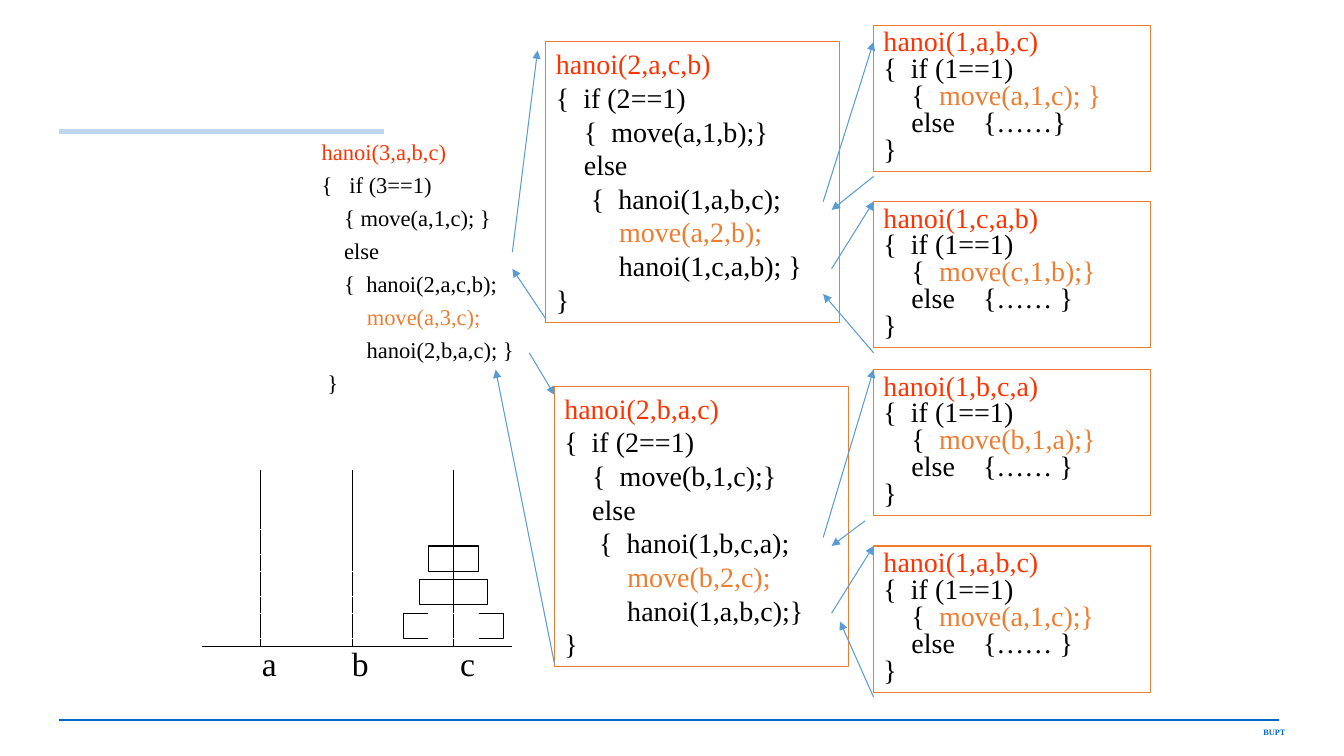
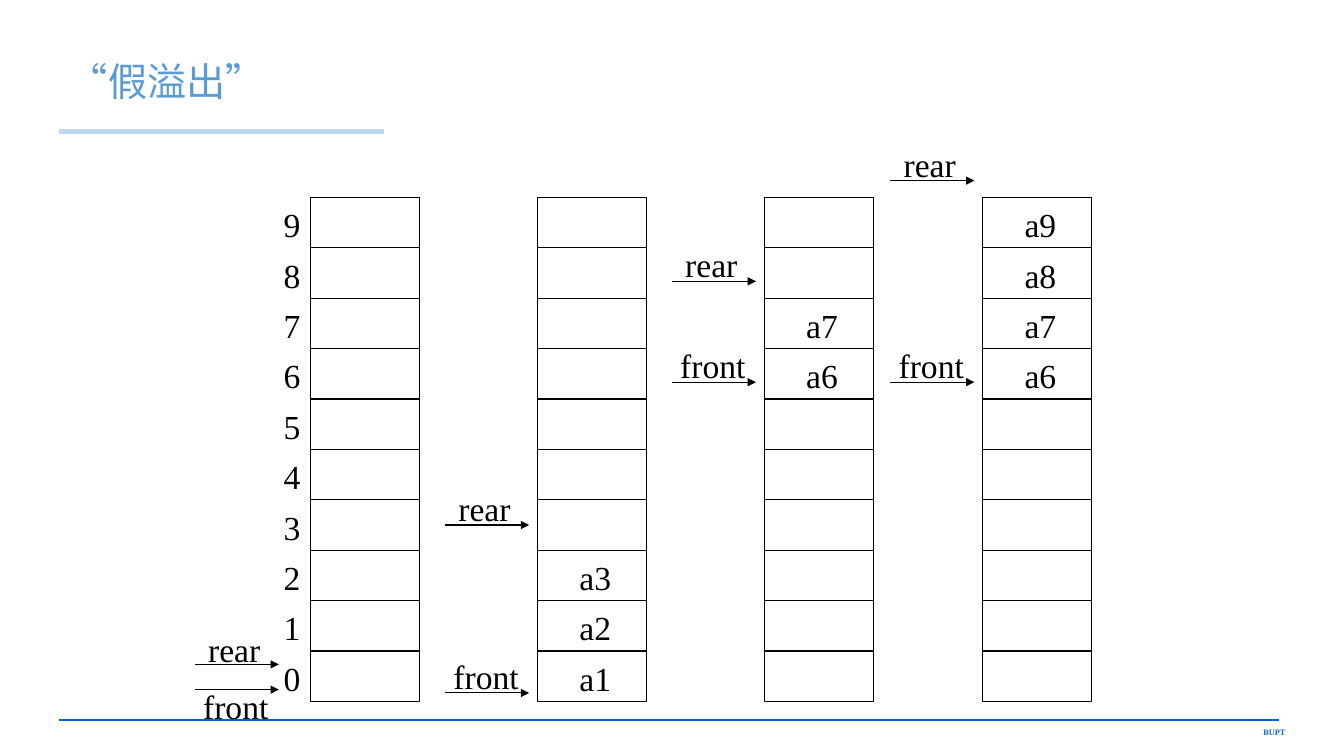
from lxml.etree import SubElement
from pptx import Presentation
from pptx.dml.color import RGBColor as Rgb
from pptx.enum.shapes import MSO_CONNECTOR as Conn, MSO_SHAPE as Shape
from pptx.enum.text import MSO_ANCHOR as Anchor, MSO_AUTO_SIZE as Auto, PP_ALIGN as Align
from pptx.oxml.ns import qn
from pptx.util import Pt

# Grid of 160 columns by 90 rows, twelve to the inch
U = 76200
HUES = {"ink": "000000", "paper": "FFFFFF", "head": "FF3300", "move": "ED7D31",
        "flow": "5B9BD5", "foot": "0066CC", "band": "BDD7EE"}
SERIF, HAN = "Times New Roman", "Noto Sans CJK SC"


def draw(to, x1, y1, x2, y2, hue="ink", wide=0.75, arrow=False, box=False):
    """Draw a line between two grid points, or the box they span."""
    ends = [round(v * U) for v in (x1, y1, x2, y2)]
    if box:
        left, top, right, low = ends
        item = to.add_shape(Shape.RECTANGLE, left, top, right - left, low - top)
        item.shadow.inherit = False
        item.fill.background()
    else:
        item = to.add_connector(Conn.STRAIGHT, *ends)
    item.line.color.rgb = Rgb.from_string(HUES[hue])
    item.line.width = Pt(wide)
    if arrow:
        SubElement(item.line._get_or_add_ln(), qn("a:tailEnd"), type="triangle")
    if not box:
        SubElement(item._element.spPr, qn("a:effectLst"))
    return item


def write(item, lines, size, spot=None, hue="ink", head="ink", face=SERIF,
          space=1.0, wrap=True, align=Align.LEFT, anchor=Anchor.TOP):
    """Fill a shape, or a new text box at spot; parts between bars are moves."""
    if spot:
        spot = [round(v * U) for v in spot]
        if hasattr(item, "add_textbox"):
            item = item.add_textbox(*spot)
        else:
            item.left, item.top, item.width, item.height = spot
    frame = item.text_frame
    frame.word_wrap = wrap
    frame.auto_size = Auto.NONE
    frame.vertical_anchor = anchor
    for row, line in enumerate(lines):
        para = frame.add_paragraph() if row else frame.paragraphs[0]
        para.alignment = align
        para.line_spacing = space
        para.space_before = Pt(0)
        para.font.name = face
        para.font.size = Pt(size)
        for part, words in enumerate(line.split("|")):
            if words:
                run = para.add_run()
                run.text = words
                tint = "move" if part % 2 else hue if row else head
                run.font.color.rgb = Rgb.from_string(HUES[tint])
    return item


deck = Presentation()
deck.slide_width, deck.slide_height = 160 * U, 90 * U

# Shared band, foot line and footer go to the master
calls = deck.slides.add_slide(deck.slide_layouts[1])
put = calls.shapes
foot = write(put, ["BUPT"], 5.9, (138, 86, 16.2, 2.4), head="foot", align=Align.RIGHT)
foot.text_frame.paragraphs[0].font.bold = True
shared = [draw(put, 7, 85.7, 152.3, 85.7, "foot", 1.5), foot,
          draw(put, 7, 15.7, 45.7, 15.7, "band", 3.5)]
for item in shared:
    deck.slide_master.shapes._spTree.append(item._element)

# Slide 1: first call, in the body placeholder
title = put.title._element
title.getparent().remove(title)
body = put.placeholders[1]
for_three = ["hanoi(3,a,b,c)", "{   if (3==1)", "    { move(a,1,c); }", "    else",
             "    {  hanoi(2,a,c,b);", "        |move(a,3,c);",
             "        hanoi(2,b,a,c); }", " }"]
write(body, for_three, 16.1, (37.1, 16.7, 37.9, 31.8), head="head", space=0.7)
for row, para in enumerate(body.text_frame.paragraphs):
    props = para._p.get_or_add_pPr()
    props.set("marL", str(3 * U))
    props.set("indent", str(-3 * U))
    props.insert_element_before(props.makeelement(qn("a:buNone")), "a:tabLst", "a:defRPr")
    if row:
        para.space_before = Pt(10)

# Calls with two discs
for left, top, (x, y, z), end in [(65, 5, "acb", " }"), (66, 46, "bac", "}")]:
    code = [f"hanoi(2,{x},{y},{z})", "{  if (2==1)", f"    {{  move({x},1,{z});}}",
            "    else", f"     {{  hanoi(1,{x},{z},{y});", f"         |move({x},2,{z});",
            f"         hanoi(1,{y},{x},{z});{end}", "}"]
    box = draw(put, left, top, left + 35, top + 33.4, "move", box=True)
    write(box, code, 20, head="head")

# Calls with one disc
for top, (x, y, z), end, rest in [(3, "abc", " }", "{……}"), (24, "cab", "}", "{…… }"),
                                  (44, "bca", "}", "{…… }"), (65, "abc", "}", "{…… }")]:
    code = [f"hanoi(1,{x},{y},{z})", "{  if (1==1)", f"    {{  |move({x},1,{z});{end}",
            f"    else    {rest}", "}"]
    box = draw(put, 104, top, 137, top + 17.4, "move", box=True)
    write(box, code, 20, head="head", space=0.8)

# Arrows into and back from the calls
for ends in [(61, 30, 64, 6), (65, 38, 61, 32), (98, 24, 104, 5), (104, 21, 99, 25),
             (99, 32, 104, 24), (104, 42, 98, 35), (63, 42, 66, 47), (66, 79, 59, 44),
             (98, 64, 104, 44), (103, 62, 99, 65), (99, 73, 104, 65), (104, 83, 100, 74)]:
    draw(put, *ends, "flow", arrow=True)

# Pegs with discs moved to c, and the places they left
draw(put, 24, 77, 61, 77)
for name, peg, left in [("a", 31, 30), ("b", 42, 40.7), ("c", 54, 53.6)]:
    draw(put, peg, 56, peg, 77)
    write(put, [name], 24, (left, 76, 5, 6))
discs = {"ink": [(54, 65, 6), (54, 69, 8), (54, 73, 12)],
         "paper": [(31, 63, 6), (31, 68, 8), (31, 73, 12), (31, 73, 6),
                   (42, 68, 6), (42, 73, 8), (54, 73, 6)]}
for hue, spots in discs.items():
    for mid, top, wide in spots:
        draw(put, mid - wide / 2, top, mid + wide / 2, top + 3, hue, box=True)

# Slide 2: title
queue = deck.slides.add_slide(deck.slide_layouts[5])
put = queue.shapes
title = write(put.title, ["“假溢出”"], 28, (7, 4.3, 135.5, 11.3), head="flow",
              face=HAN, space=0.9, anchor=Anchor.MIDDLE)
font = title.text_frame.paragraphs[0].runs[0].font
font.name = HAN
SubElement(font._element, qn("a:ea"), typeface=HAN)

# Four states of the queue, with the first filled row and its values
TOP, ROW, WIDE = 23.5, 6, 13
for left, first, cells in [(37, 0, []), (64, 7, ["a3", "a2", "a1"]),
                           (91, 2, ["a7", "a6"]), (117, 0, ["a9", "a8", "a7", "a6"])]:
    stack = put.add_group_shape().shapes
    draw(stack, left, TOP, left + WIDE, TOP + 10 * ROW, box=True)
    for row in range(1, 10):
        draw(stack, left, TOP + row * ROW, left + WIDE, TOP + row * ROW)
    if cells:
        write(put, cells, 24, (left + 3.8, TOP - 1 + first * ROW, 6.2, len(cells) * ROW + 1.2),
              space=1.25, wrap=False)
write(put, [str(n) for n in range(9, -1, -1)], 24, (32.6, TOP - 1, 4.4, 10 * ROW + 1.2),
      space=1.25, wrap=False)

# Front and rear pointers: start, row, and rise of the label
for name, left, y, rise in [("front", 23.2, 82.1, 1), ("rear", 23.2, 79.1, 4.8),
                            ("front", 53, 82.5, 5), ("rear", 53, 62.5, 5),
                            ("front", 80, 45.5, 5), ("rear", 80, 33.5, 5),
                            ("front", 106, 45.5, 5), ("rear", 106, 21.5, 5)]:
    draw(put, left, y, left + 10, y, arrow=True)
    shift, wide = (-0.2, 10.2) if name == "front" else (0.4, 8.6)
    write(put, [name], 24, (left + shift, y - rise, wide, 6), wrap=False)

deck.save("out.pptx")
